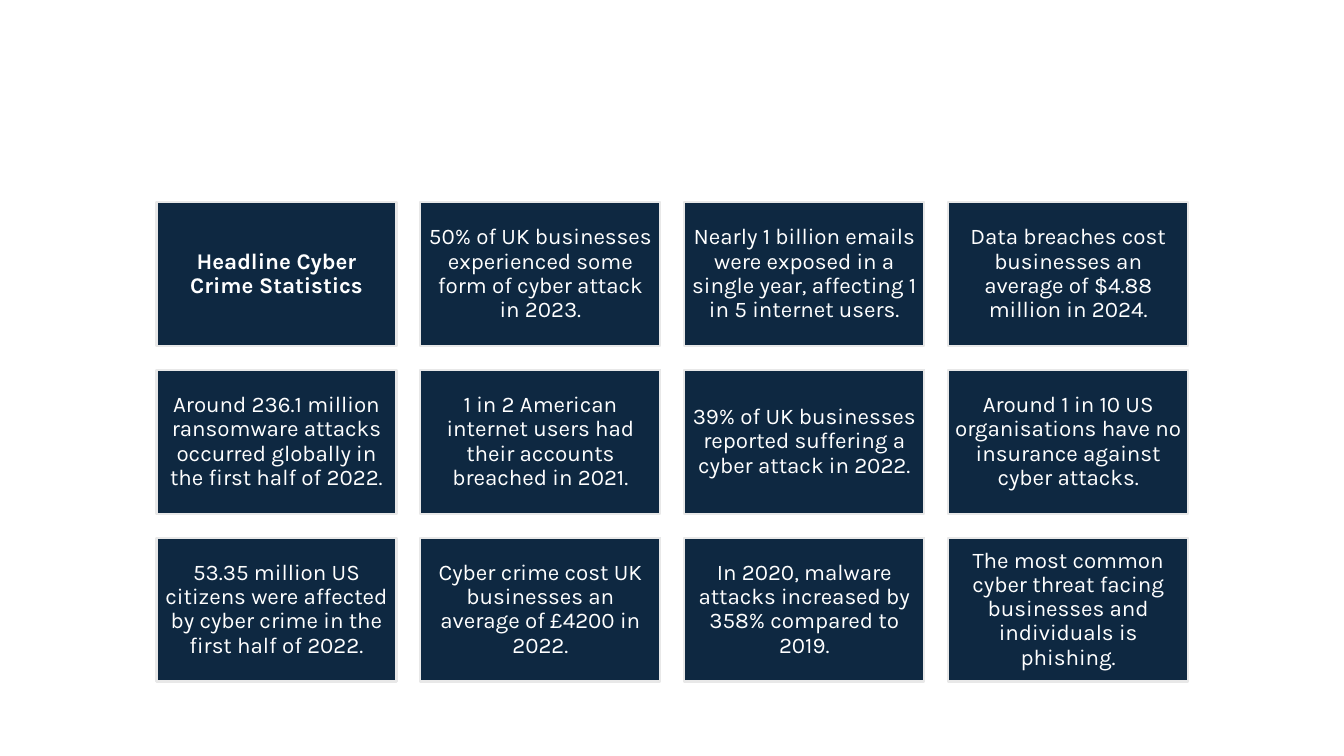
from pptx import Presentation
from pptx.dml.color import RGBColor
from pptx.enum.shapes import MSO_SHAPE
from pptx.enum.text import MSO_ANCHOR, PP_ALIGN
from pptx.util import Pt

RECTANGLE = MSO_SHAPE.RECTANGLE
MIDDLE = MSO_ANCHOR.MIDDLE
CENTER = PP_ALIGN.CENTER
BLANK_LAYOUT = 6

HEADING = "Headline Cyber Crime Statistics"
STATISTICS = [
    "50% of UK businesses experienced some form of cyber attack in 2023.",
    "Nearly 1 billion emails were exposed in a single year, affecting 1 in 5 internet users.",
    "Data breaches cost businesses an average of $4.88 million in 2024.",
    "Around 236.1 million ransomware attacks occurred globally in the first half of 2022.",
    "1 in 2 American internet users had their accounts breached in 2021.",
    "39% of UK businesses reported suffering a cyber attack in 2022.",
    "Around 1 in 10 US organisations have no insurance against cyber attacks.",
    "53.35 million US citizens were affected by cyber crime in the first half of 2022.",
    "Cyber crime cost UK businesses an average of £4200 in 2022.",
    "In 2020, malware attacks increased by 358% compared to 2019.",
    "The most common cyber threat facing businesses and individuals is phishing.",
]

COLUMNS = 4
GRID_LEFT, GRID_TOP = 111.8, 144.2
CARD_WIDTH, CARD_HEIGHT = 171.4, 102.8
GAP = 17.1


def color(value):
    return RGBColor.from_string(value)


class StatisticsSlide:
    """Holds the card style and the slide being built."""

    font_name = "Karla"
    font_size = 16
    text_color = "FFFFFF"
    fill_color = "0E2841"
    line_color = "E8E8E8"
    line_width = 1.5
    inset = 4.8

    def __init__(self, slide):
        self.slide = slide

    def add_card(self, left, top, width, height, text, bold=False):
        shape = self.slide.shapes.add_shape(
            RECTANGLE, Pt(left), Pt(top), Pt(width), Pt(height)
        )
        shape.shadow.inherit = False
        shape.fill.solid()
        shape.fill.fore_color.rgb = color(self.fill_color)
        shape.line.color.rgb = color(self.line_color)
        shape.line.width = Pt(self.line_width)

        frame = shape.text_frame
        frame.word_wrap = True
        frame.vertical_anchor = MIDDLE
        frame.margin_left = frame.margin_right = Pt(self.inset)
        frame.margin_top = frame.margin_bottom = Pt(self.inset)

        paragraph = frame.paragraphs[0]
        paragraph.text = text
        paragraph.alignment = CENTER
        paragraph.line_spacing = 0.9
        paragraph.font.name = self.font_name
        paragraph.font.size = Pt(self.font_size)
        paragraph.font.bold = bold
        paragraph.font.color.rgb = color(self.text_color)


def main():
    presentation = Presentation()
    presentation.slide_width = Pt(960)
    presentation.slide_height = Pt(540)
    layout = presentation.slide_layouts[BLANK_LAYOUT]
    page = StatisticsSlide(presentation.slides.add_slide(layout))

    for index, text in enumerate([HEADING] + STATISTICS):
        row, column = divmod(index, COLUMNS)
        left = GRID_LEFT + column * (CARD_WIDTH + GAP)
        top = GRID_TOP + row * (CARD_HEIGHT + GAP)
        page.add_card(left, top, CARD_WIDTH, CARD_HEIGHT, text, bold=text == HEADING)

    presentation.save("out.pptx")


if __name__ == "__main__":
    main()
